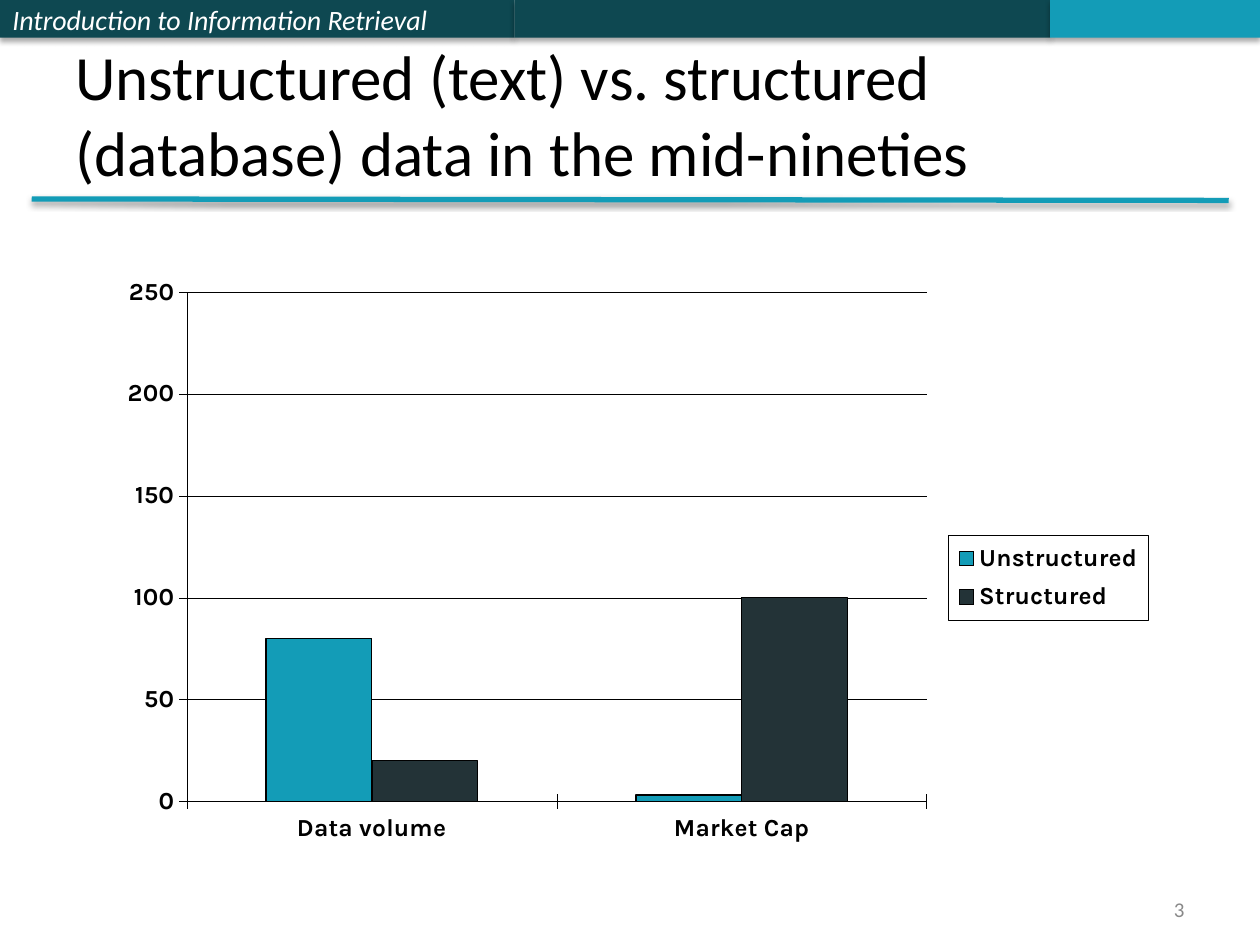
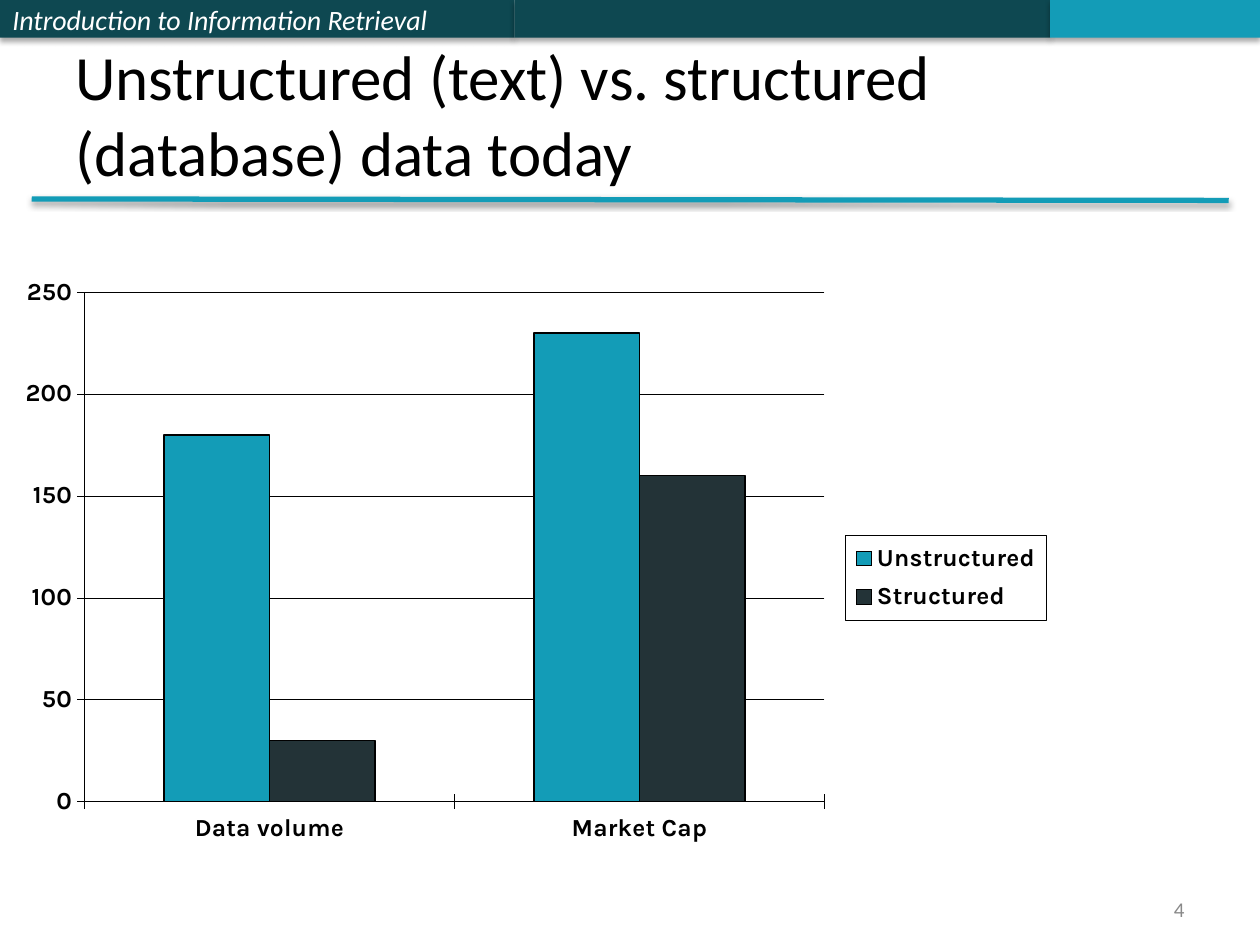
from dataclasses import dataclass

from lxml.etree import SubElement
from pptx import Presentation
from pptx.chart.chart import Chart
from pptx.chart.data import CategoryChartData
from pptx.dml.color import RGBColor
from pptx.enum.chart import XL_CHART_TYPE, XL_LEGEND_POSITION, XL_TICK_LABEL_POSITION, XL_TICK_MARK
from pptx.enum.shapes import MSO_CONNECTOR, MSO_SHAPE
from pptx.enum.text import MSO_ANCHOR, PP_ALIGN
from pptx.oxml import parse_xml
from pptx.oxml.ns import nsdecls, qn
from pptx.slide import Slide
from pptx.text.text import TextFrame
from pptx.util import Cm, Pt


@dataclass(frozen=True)
class Theme:
    teal: RGBColor = RGBColor.from_string("139CB7")
    deep_teal: RGBColor = RGBColor.from_string("0E4851")
    slate: RGBColor = RGBColor.from_string("233337")
    black: RGBColor = RGBColor.from_string("000000")
    white: RGBColor = RGBColor.from_string("FFFFFF")
    grey: RGBColor = RGBColor.from_string("898989")
    text_font: str = "Calibri"
    chart_font: str = "Karla"
    title_size: float = 36
    course_size: float = 16
    chart_size: float = 14
    number_size: float = 12
    rule_width: float = 3
    bar_outline: float = 0.92
    hairline: float = 0.23


THEME = Theme()


@dataclass(frozen=True)
class Box:
    left: float
    top: float
    width: float
    height: float

    def lengths(self) -> tuple[Cm, Cm, Cm, Cm]:
        return Cm(self.left), Cm(self.top), Cm(self.width), Cm(self.height)


@dataclass(frozen=True)
class Band:
    width: float
    color: RGBColor
    label: str = ""


@dataclass(frozen=True)
class TextStyle:
    size: float
    color: RGBColor
    anchor: MSO_ANCHOR = MSO_ANCHOR.MIDDLE
    align: PP_ALIGN = PP_ALIGN.LEFT
    italic: bool = False


@dataclass(frozen=True)
class Comparison:
    title: str
    number: int
    chart_left: float
    unstructured: tuple[int, int]
    structured: tuple[int, int]


BAND_HEIGHT = 0.76
BANDS = (
    Band(10.37, THEME.deep_teal, "Introduction to Information Retrieval"),
    Band(10.8, THEME.deep_teal),
    Band(4.23, THEME.teal),
)
TITLE_BOX = Box(1.27, 0.76, 22.86, 3.18)
NUMBER_BOX = Box(18.21, 17.98, 5.92, 0.69)
COURSE_STYLE = TextStyle(THEME.course_size, THEME.white, italic=True)
TITLE_STYLE = TextStyle(THEME.title_size, THEME.black, MSO_ANCHOR.BOTTOM)
NUMBER_STYLE = TextStyle(THEME.number_size, THEME.grey, align=PP_ALIGN.RIGHT)

PLOT_AREA = Box(0.08, 0.035, 0.7, 0.83)
LEGEND_AREA = Box(0.8, 0.43, 0.19, 0.14)
CATEGORIES = ("Data volume", "Market Cap")

COMPARISONS = (
    Comparison(
        "Unstructured (text) vs. structured (database) data in the mid-nineties",
        3, 2.06, (80, 3), (20, 100),
    ),
    Comparison(
        "Unstructured (text) vs. structured (database) data today",
        4, 0, (180, 230), (30, 160),
    ),
)


def write(frame: TextFrame, text: str, style: TextStyle) -> None:
    frame.word_wrap = True
    frame.vertical_anchor = style.anchor
    paragraph = frame.paragraphs[0]
    paragraph.text = text
    paragraph.alignment = style.align
    paragraph.font.name = THEME.text_font
    paragraph.font.size = Pt(style.size)
    paragraph.font.italic = style.italic
    paragraph.font.color.rgb = style.color


def add_text(slide: Slide, box: Box, text: str, style: TextStyle) -> None:
    write(slide.shapes.add_textbox(*box.lengths()).text_frame, text, style)


def cast_shadow(properties, opacity: int, distance: float) -> None:
    effects = properties.find(qn("a:effectLst"))
    if effects is None:
        effects = SubElement(properties, qn("a:effectLst"))
    shadow = SubElement(
        effects, qn("a:outerShdw"), blurRad=str(Pt(3.1)), dist=str(Pt(distance)),
        dir="5400000", rotWithShape="0",
    )
    color = SubElement(shadow, qn("a:srgbClr"), val=str(THEME.black))
    SubElement(color, qn("a:alpha"), val=str(opacity * 1000))


def add_header(slide: Slide) -> None:
    left = 0.0
    for band in BANDS:
        box = Box(left, 0, band.width, BAND_HEIGHT)
        strip = slide.shapes.add_shape(MSO_SHAPE.RECTANGLE, *box.lengths())
        strip.fill.solid()
        strip.fill.fore_color.rgb = band.color
        strip.line.fill.background()
        strip.shadow.inherit = False
        cast_shadow(strip._element.spPr, 35, 1.8)
        if band.label:
            write(strip.text_frame, band.label, COURSE_STYLE)
        left += band.width


def add_title_rule(slide: Slide) -> None:
    rule = slide.shapes.add_connector(
        MSO_CONNECTOR.STRAIGHT, Cm(0.64), Cm(4.01), Cm(24.77), Cm(4.04)
    )
    rule.line.color.rgb = THEME.teal
    rule.line.width = Pt(THEME.rule_width)
    cast_shadow(rule._element.spPr, 38, 1.6)


def manual_layout(area: Box, inner: bool = False):
    layout = parse_xml(f"<c:layout {nsdecls('c')}><c:manualLayout/></c:layout>")
    settings = {"layoutTarget": "inner"} if inner else {}
    settings |= {
        "xMode": "edge", "yMode": "edge",
        "x": area.left, "y": area.top, "w": area.width, "h": area.height,
    }
    for tag, value in settings.items():
        SubElement(layout[0], qn(f"c:{tag}"), val=str(value))
    return layout


def style_axes(chart: Chart) -> None:
    values = chart.value_axis
    values.minimum_scale, values.maximum_scale, values.major_unit = 0, 250, 50
    values.has_major_gridlines = True
    chart.category_axis.tick_label_position = XL_TICK_LABEL_POSITION.LOW
    for axis in (chart.category_axis, values):
        axis.major_tick_mark = XL_TICK_MARK.CROSS
        axis.tick_labels.font.size = Pt(THEME.chart_size)
    for part in (chart.category_axis, values, values.major_gridlines):
        part.format.line.color.rgb = THEME.black
        part.format.line.width = Pt(THEME.hairline)


def style_legend(chart: Chart) -> None:
    chart.has_legend = True
    legend = chart.legend
    legend.position = XL_LEGEND_POSITION.RIGHT
    legend.include_in_layout = False
    overlay = legend._element.find(qn("c:overlay"))
    overlay.addprevious(manual_layout(LEGEND_AREA))
    overlay.addnext(parse_xml(
        f'<c:spPr {nsdecls("c", "a")}><a:noFill/><a:ln w="{Pt(THEME.hairline)}">'
        f'<a:solidFill><a:srgbClr val="{THEME.black}"/></a:solidFill></a:ln></c:spPr>'
    ))


def add_comparison_chart(slide: Slide, comparison: Comparison) -> None:
    figures = CategoryChartData()
    figures.categories = CATEGORIES
    figures.add_series("Unstructured", comparison.unstructured)
    figures.add_series("Structured", comparison.structured)
    box = Box(comparison.chart_left, 5.46, 21.31, 12.37)
    chart = slide.shapes.add_chart(
        XL_CHART_TYPE.COLUMN_CLUSTERED, *box.lengths(), figures
    ).chart
    chart.has_title = False
    chart.font.name = THEME.chart_font
    chart.font.size = Pt(THEME.chart_size)
    chart.font.bold = True
    chart.font.color.rgb = THEME.black

    columns = chart.plots[0]
    columns.vary_by_categories = False
    columns.gap_width = 150
    columns.overlap = 0
    for series, color in zip(columns.series, (THEME.teal, THEME.slate)):
        series.format.fill.solid()
        series.format.fill.fore_color.rgb = color
        series.format.line.color.rgb = THEME.black
        series.format.line.width = Pt(THEME.bar_outline)

    style_axes(chart)
    style_legend(chart)
    plot_area = chart._chartSpace.chart.plotArea
    for layout in plot_area.findall(qn("c:layout")):
        plot_area.remove(layout)
    plot_area.insert(0, manual_layout(PLOT_AREA, inner=True))


def main() -> None:
    deck = Presentation()
    deck.slide_width, deck.slide_height = Cm(25.4), Cm(19.05)
    blank = deck.slide_layouts[6]
    for comparison in COMPARISONS:
        slide = deck.slides.add_slide(blank)
        add_header(slide)
        add_title_rule(slide)
        add_text(slide, TITLE_BOX, comparison.title, TITLE_STYLE)
        add_text(slide, NUMBER_BOX, str(comparison.number), NUMBER_STYLE)
        add_comparison_chart(slide, comparison)
    deck.save("out.pptx")


if __name__ == "__main__":
    main()
